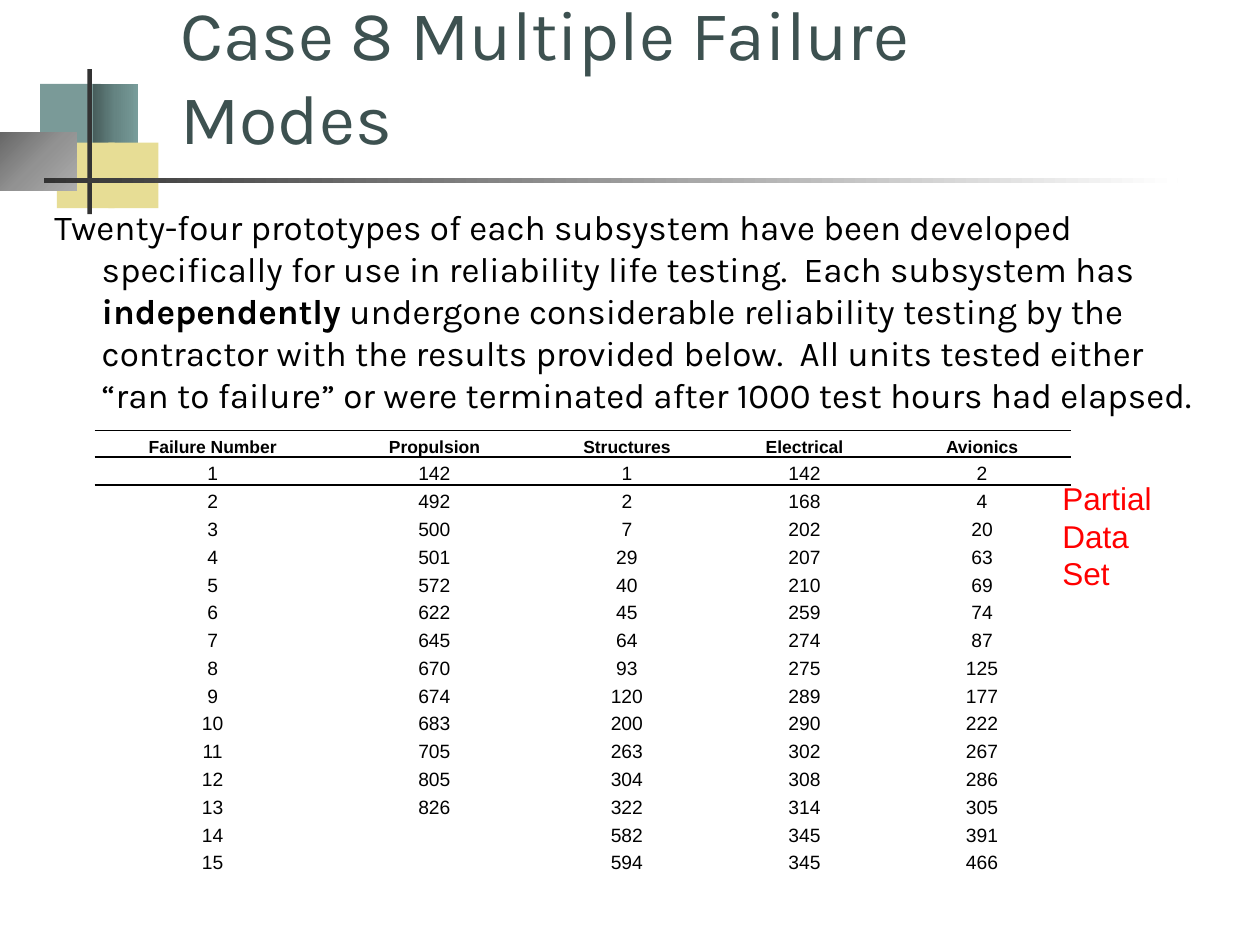
from dataclasses import dataclass

from lxml import etree
from pptx import Presentation
from pptx.dml.color import RGBColor
from pptx.enum import shapes, text
from pptx.oxml import ns, parse_xml
from pptx.util import Pt


@dataclass(frozen=True)
class Theme:
    title_color: str = "3D5150"
    ink: str = "000000"
    note_color: str = "FF0000"
    teal: str = "7A9A98"
    sand: str = "E7DD95"
    bar: str = "333333"
    teal_fade: tuple = ((0, "475D5B"), (50, "658482"), (100, "789C9A"))
    grey_fade: tuple = ((0, "676767"), (50, "929292"), (100, "ADADAD"))
    rule_fade: tuple = ((0, "333333"), (100, "FFFFFF"))
    heading_font: str = "Karla"
    data_font: str = "Arial"
    title_size: float = 40
    body_size: float = 20
    note_size: float = 18
    header_size: float = 10
    cell_size: float = 11


T = Theme()
NO_STYLE = "{2D5ABB26-0587-4C30-8999-92F81FD0307C}"
LINEAR = '<a:lin ang="0" scaled="1"/>'
RADIAL = '<a:path path="circle"><a:fillToRect r="100000" b="100000"/></a:path>'

HEADERS = ["Failure Number", "Propulsion", "Structures", "Electrical", "Avionics"]
FAILURES = [
    [142, 492, 500, 501, 572, 622, 645, 670, 674, 683, 705, 805, 826, "", ""],
    [1, 2, 7, 29, 40, 45, 64, 93, 120, 200, 263, 304, 322, 582, 594],
    [142, 168, 202, 207, 210, 259, 274, 275, 289, 290, 302, 308, 314, 345, 345],
    [2, 4, 20, 63, 69, 74, 87, 125, 177, 222, 267, 286, 305, 391, 466],
]


# Shared helpers
def add_run(p, content, font, size, color, bold=False):
    r = p.add_run()
    r.text = content
    r.font.name, r.font.size, r.font.bold = font, Pt(size), bold
    r.font.color.rgb = RGBColor.from_string(color)


def add_text(sld, box, paragraphs, anchor=text.MSO_ANCHOR.TOP, hang=0, before=0, **fmt):
    """Each paragraph is a list of (content, bold) pairs."""
    tf = sld.shapes.add_textbox(*map(Pt, box)).text_frame
    tf.word_wrap, tf.vertical_anchor = True, anchor
    for i, parts in enumerate(paragraphs):
        p = tf.add_paragraph() if i else tf.paragraphs[0]
        p.space_before = Pt(before)
        if hang:
            pPr = p._p.get_or_add_pPr()
            pPr.set("marL", str(Pt(hang)))
            pPr.set("indent", str(Pt(-hang)))
        for content, bold in parts:
            add_run(p, content, bold=bold, **fmt)


def add_block(sld, box, fill, shade=LINEAR):
    """Fill is one colour, or a tuple of (percent, colour) gradient stops."""
    sp = sld.shapes.add_shape(shapes.MSO_SHAPE.RECTANGLE, *map(Pt, box))
    sp.shadow.inherit = False
    sp.line.fill.background()
    if isinstance(fill, str):
        sp.fill.solid()
        sp.fill.fore_color.rgb = RGBColor.from_string(fill)
        return
    stops = "".join(f'<a:gs pos="{pos * 1000}"><a:srgbClr val="{c}"/></a:gs>'
                    for pos, c in fill)
    grad = parse_xml(f'<a:gradFill {ns.nsdecls("a")} rotWithShape="1">'
                     f"<a:gsLst>{stops}</a:gsLst>{shade}</a:gradFill>")
    sp._element.spPr.find(ns.qn("a:prstGeom")).addnext(grad)


def add_border(cell, sides):
    tcPr = cell._tc.get_or_add_tcPr()
    for i, side in enumerate(sides):
        tcPr.insert(i, parse_xml(
            f'<a:{side} {ns.nsdecls("a")} w="{Pt(1)}"><a:solidFill>'
            f'<a:srgbClr val="{T.ink}"/></a:solidFill></a:{side}>'))


# Decorative blocks and rules around the title
def draw_ornament(sld, x, y):
    for dx, dy, w, h, *fill in [
        (23, 8.5, 34.5, 37.5, T.teal),
        (53, 8.5, 26, 37.5, T.teal_fade),
        (32.5, 42, 33, 37.5, T.sand),
        (62, 42, 28.5, 37.5, T.sand),
        (0, 36, 44, 33.5, T.grey_fade, RADIAL),
        (50, 0, 2.5, 83, T.bar),
        (25, 62.5, 648, 2.5, T.rule_fade),
    ]:
        add_block(sld, (x + dx, y + dy, w, h), *fill)


# Failure data table
def fill_cell(cell, value, size, bold):
    cell.fill.background()
    cell.vertical_anchor = text.MSO_ANCHOR.BOTTOM
    cell.margin_left = cell.margin_right = cell.margin_top = Pt(0.7)
    cell.margin_bottom = 0
    p = cell.text_frame.paragraphs[0]
    p.alignment, p.line_spacing = text.PP_ALIGN.CENTER, 1.15
    if value == "":
        end = etree.SubElement(p._p, ns.qn("a:endParaRPr"))
        end.set("sz", str(int(size * 100)))
    else:
        add_run(p, str(value), T.data_font, size, T.ink, bold)


def draw_table(sld, x, y, w, h):
    rows = [HEADERS] + [[n, *r] for n, r in enumerate(zip(*FAILURES), 1)]
    frame = sld.shapes.add_table(len(rows), len(HEADERS), *map(Pt, (x, y, w, h)))
    tbl = frame.table
    tbl.first_row = tbl.horz_banding = False
    tbl._tbl.tblPr.find(ns.qn("a:tableStyleId")).text = NO_STYLE
    first, second = 135, 118.5
    rest = (w - first - second) / 3
    for col, width in zip(tbl.columns, (first, second, rest, rest, rest)):
        col.width = Pt(width)
    header_h = 15.25
    for i, values in enumerate(rows):
        head = i == 0
        tbl.rows[i].height = Pt(header_h if head else (h - header_h) / (len(rows) - 1))
        for j, value in enumerate(values):
            cell = tbl.cell(i, j)
            fill_cell(cell, value, T.header_size if head else T.cell_size, head)
            if i < 2:
                add_border(cell, ("lnT", "lnB") if head else ("lnT",))


# Slide
def draw_slide(sld):
    draw_ornament(sld, 0, 39.5)
    add_text(sld, (96, 24, 557, 70), [[("Case 8 Multiple Failure Modes", False)]],
             anchor=text.MSO_ANCHOR.BOTTOM,
             font=T.heading_font, size=T.title_size, color=T.title_color)
    add_text(sld, (24, 114, 666, 138), [[
        ("Twenty-four prototypes of each subsystem have been developed specifically "
         "for use in reliability life testing.  Each subsystem has ", False),
        ("independently", True),
        (" undergone considerable reliability testing by the contractor with the "
         "results provided below.  All units tested either “ran to failure” or were "
         "terminated after 1000 test hours had elapsed.", False)]],
        hang=27, before=4, font=T.heading_font, size=T.body_size, color=T.ink)
    draw_table(sld, 54, 246, 558, 251.5)
    add_text(sld, (600, 270, 66, 73), [[(word, False)] for word in ("Partial", "Data", "Set")],
             font=T.data_font, size=T.note_size, color=T.note_color)


prs = Presentation()
prs.slide_width, prs.slide_height = Pt(720), Pt(540)
draw_slide(prs.slides.add_slide(prs.slide_layouts[6]))
prs.save("out.pptx")
